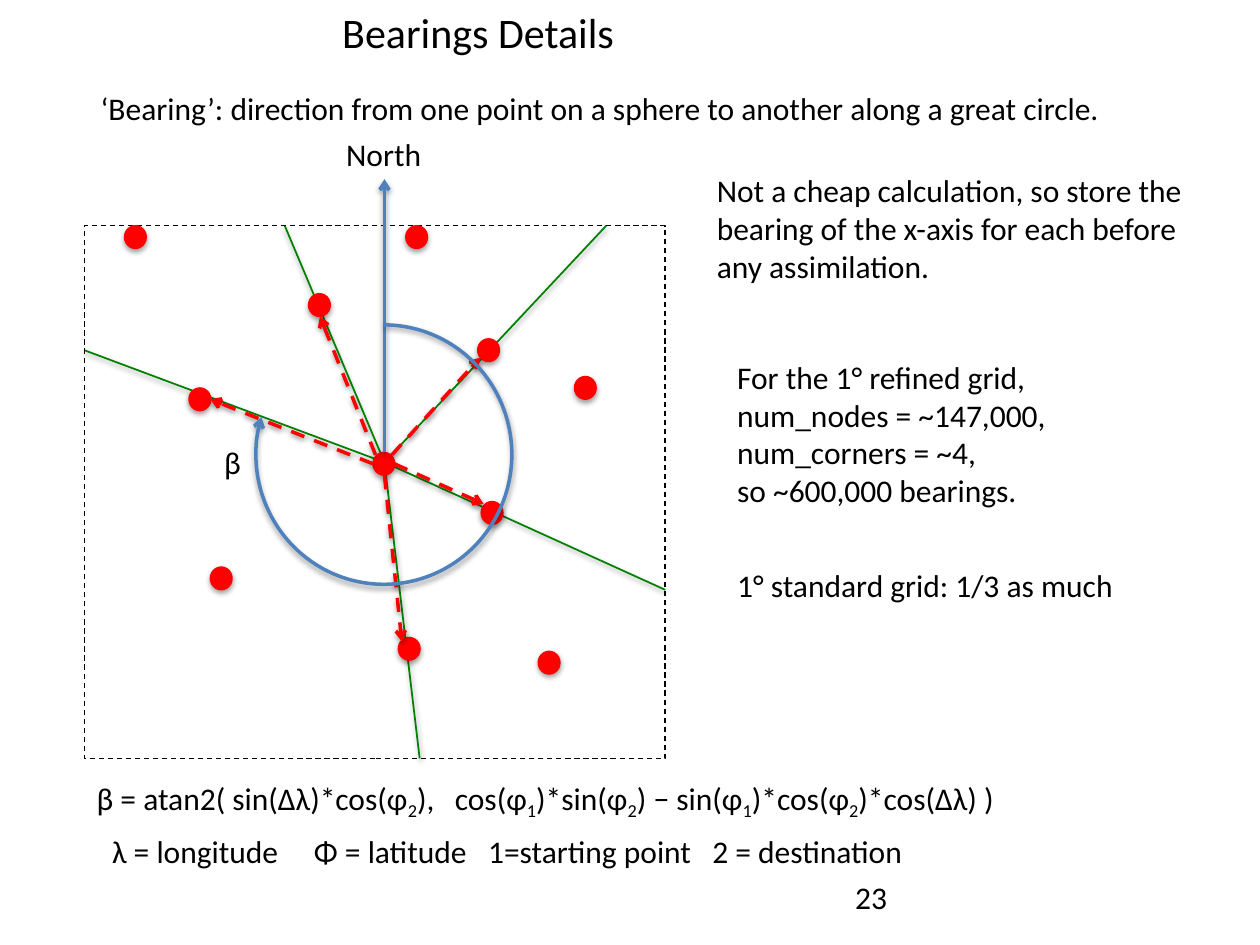
from dataclasses import dataclass
from lxml.etree import SubElement as Sub
from pptx import Presentation as Deck
from pptx.dml.color import RGBColor as Rgb
from pptx.enum.dml import MSO_LINE_DASH_STYLE as Dash
from pptx.enum.shapes import MSO_CONNECTOR_TYPE as Link, MSO_SHAPE as Form
from pptx.enum.text import MSO_AUTO_SIZE as Fit
from pptx.oxml.ns import qn
from pptx.util import Cm, Pt


@dataclass(frozen=True)
class Theme:
    font: str = "Calibri"
    ink: str = "000000"
    ray: str = "008000"
    dot: str = "FF0000"
    north: str = "4F81BD"
    head: int = 24
    body: int = 18
    thin: float = 0.75
    fine: float = 1
    bold: float = 2


class Page:
    """Draws styled elements on one slide."""

    def __init__(self, slide, theme):
        self.shapes = slide.shapes
        self.theme = theme

    def stroke(self, item, color, width, dash=False, arrow=False, shade=True):
        item.line.color.rgb = Rgb.from_string(color)
        item.line.width = Pt(width)
        if dash:
            item.line.dash_style = Dash.DASH
        props = item.element.spPr
        if arrow:
            Sub(props.find(qn("a:ln")), qn("a:tailEnd"), type="arrow")
        glow = Sub(props, qn("a:effectLst"))
        if shade:
            cast = Sub(glow, qn("a:outerShdw"), blurRad="40000", dist="20000",
                       dir="5400000", rotWithShape="0")
            tint = Sub(cast, qn("a:srgbClr"), val=self.theme.ink)
            Sub(tint, qn("a:alpha"), val="38000")

    def line(self, start, end, color, width, **style):
        ends = [Cm(v) for v in (*start, *end)]
        item = self.shapes.add_connector(Link.STRAIGHT, *ends)
        self.stroke(item, color, width, **style)

    def shape(self, form, box, color, width, fill=None, turns=(), **style):
        item = self.shapes.add_shape(form, *map(Cm, box))
        for i, turn in enumerate(turns):
            item.adjustments[i] = turn
        if fill:
            item.fill.solid()
            item.fill.fore_color.rgb = Rgb.from_string(fill)
        else:
            item.fill.background()
        self.stroke(item, color, width, **style)

    def text(self, box, *lines, size=None, wrap=False, tabs=()):
        frame = self.shapes.add_textbox(*map(Cm, box)).text_frame
        frame.word_wrap = wrap
        frame.auto_size = Fit.SHAPE_TO_FIT_TEXT
        for i, line in enumerate(lines):
            para = frame.add_paragraph() if i else frame.paragraphs[0]
            if tabs:
                stops = Sub(para._p.get_or_add_pPr(), qn("a:tabLst"))
                for pos in tabs:
                    Sub(stops, qn("a:tab"), pos=str(Cm(pos)), algn="l")
            for j, part in enumerate(line.split("_" if "φ_" in line else "\n")):
                if j:
                    self.run(para, part[0], size, sub=True)
                    part = part[1:]
                self.run(para, part, size)

    def run(self, para, words, size, sub=False):
        run = para.add_run()
        run.text = words
        font = run.font
        font.name = self.theme.font
        font.size = Pt(size or self.theme.body)
        font.color.rgb = Rgb.from_string(self.theme.ink)
        if sub:
            font._element.set("baseline", "-25000")


deck = Deck()
deck.slide_width, deck.slide_height = Cm(25.4), Cm(19.05)
theme = Theme()
page = Page(deck.slides.add_slide(deck.slide_layouts[6]), theme)

page.text((6.65, 0, 6.07, 1.27), "Bearings Details", size=theme.head)
page.text((1.78, 1.68, 20.88, 1.02),
          "‘Bearing’: direction from one point on a sphere to another along a great circle.")

left, top, wide, high = 1.7, 4.55, 11.71, 10.74
right, base = left + wide, top + high
hub = 7.75, 9.32
for end in ((left, 7.06), (5.74, top), (12.22, top), (right, 11.89), (8.46, base)):
    page.line(hub, end, theme.ray, theme.fine)
page.shape(Form.RECTANGLE, (left, top, wide, high), theme.ink, theme.thin,
           dash=True, shade=False)

dots = ((7.52, 9.12), (9.7, 10.11), (8.03, 12.85), (3.81, 7.82), (6.22, 5.92),
        (9.63, 6.83), (11.58, 7.59), (10.85, 13.13), (4.24, 11.43),
        (2.51, top), (8.18, top))
for spot in dots:
    page.shape(Form.OVAL, (*spot, 0.44, 0.46), theme.dot, theme.thin, fill=theme.dot)

arrows = (((7.95, 9.35), (9.75, 10.16)), ((7.57, 9.17), (6.45, 6.38)),
          ((7.75, 9.58), (8.1, 12.93)), ((7.9, 9.17), (9.68, 7.21)),
          ((7.52, 9.35), (4.24, 8.05)))
for start, end in arrows:
    page.line(start, end, theme.dot, theme.bold, dash=True, arrow=True)

page.line((hub[0], 9.12), (hub[0], 3.61), theme.north, theme.bold, arrow=True)
page.text((6.73, 2.59, 2.03, 1.02), "North")
page.shape(Form.ARC, (5.16, 6.55, 5.16, 5.23), theme.north, theme.bold,
           turns=(162, 118.256), arrow=True)
page.text((4.27, 8.81, 0.86, 1.02), "β")

page.text((14.2, 3.33, 10.64, 2.57),
          "Not a cheap calculation, so store the bearing of the x-axis "
          "for each before any assimilation.", wrap=True)
page.text((14.61, 7.09, 6.93, 3.33), "For the 1° refined grid,",
          "num_nodes = ~147,000,", "num_corners = ~4,", "so ~600,000 bearings.")
page.text((14.61, 11.28, 8.18, 1.02), "1° standard grid: 1/3 as much")

page.text((1.7, 15.57, 18.97, 1.02),
          "β\u00a0= atan2( sin(Δλ)*cos(φ_2),\tcos(φ_1)*sin(φ_2) − "
          "sin(φ_1)*cos(φ_2)*cos(Δλ) )", wrap=True, tabs=(7.22,))
page.text((2.01, 16.64, 16.64, 1.02),
          "λ = longitude\tΦ = latitude\t1=starting point\t2 = destination",
          wrap=True, tabs=(4.07, 7.58, 12.1))
page.text((16.99, 17.58, 1.22, 1.02), "23", wrap=True)

deck.save("out.pptx")
